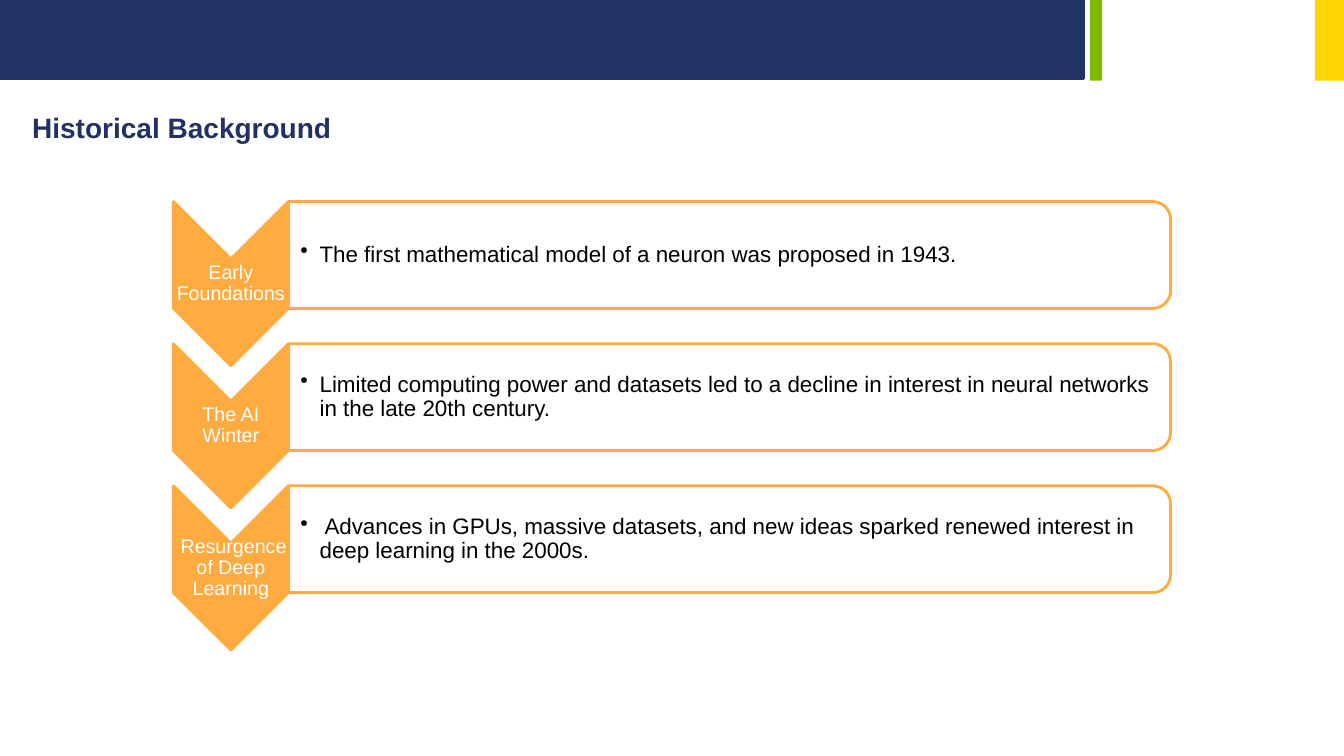
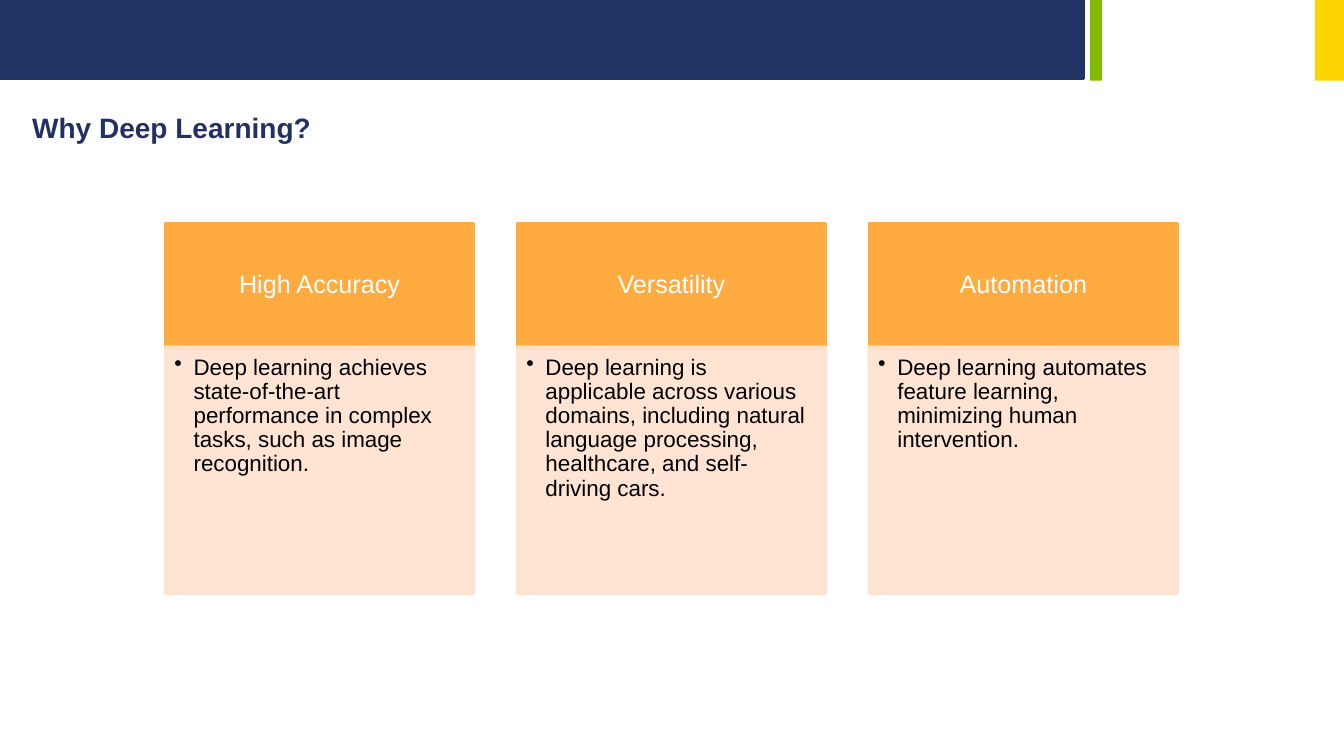
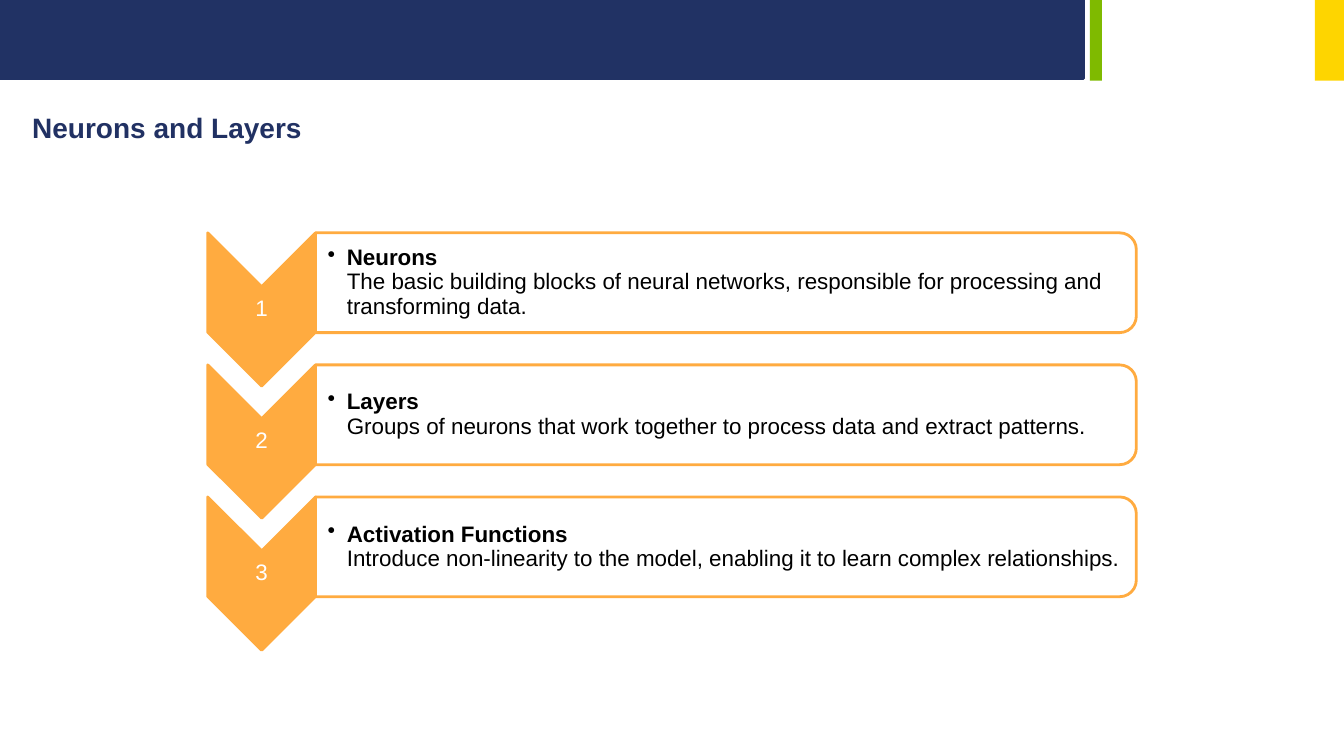
import pptx
import pptx.dml.color
import pptx.enum.shapes
import pptx.enum.text
import pptx.oxml
import pptx.oxml.ns
import pptx.util

Inches = pptx.util.Inches
Pt = pptx.util.Pt
RGBColor = pptx.dml.color.RGBColor
Shape = pptx.enum.shapes.MSO_SHAPE
Align = pptx.enum.text.PP_ALIGN
Anchor = pptx.enum.text.MSO_ANCHOR

NAVY = RGBColor(0x21, 0x32, 0x64)
TITLE_NAVY = RGBColor(0x21, 0x31, 0x63)
GREEN = RGBColor(0x7F, 0xBA, 0x00)
YELLOW = RGBColor(0xFE, 0xD5, 0x00)
ORANGE = RGBColor(0xFF, 0xAB, 0x40)
PEACH = RGBColor(0xFF, 0xE2, 0xCF)
WHITE = RGBColor(0xFF, 0xFF, 0xFF)
BLACK = RGBColor(0x00, 0x00, 0x00)
FONT = "Arial"


def draw(page, kind, left, top, width, height, fill, line=None, turned=False, opacity=100):
    if turned:
        left, top = left + (width - height) / 2, top + (height - width) / 2
        width, height = height, width
    shape = page.shapes.add_shape(kind, Inches(left), Inches(top), Inches(width), Inches(height))
    shape.shadow.inherit = False
    shape.rotation = 90 if turned else 0
    shape.fill.solid()
    shape.fill.fore_color.rgb = fill
    if line is None:
        shape.line.fill.background()
    else:
        shape.line.color.rgb = line
        shape.line.width = Pt(2)
    if opacity < 100:
        route = ".//a:srgbClr" if fill == line else "./a:solidFill/a:srgbClr"
        for colour in shape._element.spPr.xpath(route):
            alpha = pptx.oxml.parse_xml(f'<a:alpha {pptx.oxml.ns.nsdecls("a")} val="{opacity * 1000}"/>')
            colour.append(alpha)
    return shape


def write(box, lines, size, colour, margins, anchor=Anchor.MIDDLE, align=Align.LEFT, spacing=0.9, bullet=False):
    frame = box.text_frame
    frame.word_wrap = True
    frame.vertical_anchor = anchor
    frame.margin_left, frame.margin_top, frame.margin_right, frame.margin_bottom = map(Inches, margins)
    para = frame.paragraphs[0]
    if bullet:
        props = para._p.get_or_add_pPr()
        props.set("marL", str(Inches(0.19)))
        props.set("indent", str(Inches(-0.19)))
        namespace = pptx.oxml.ns.nsdecls("a")
        props.append(pptx.oxml.parse_xml(f'<a:buClr {namespace}><a:srgbClr val="{BLACK}"/></a:buClr>'))
        props.append(pptx.oxml.parse_xml(f'<a:buChar {namespace} char="•"/>'))
    para.alignment = align
    para.line_spacing = spacing
    for index, (text, bold) in enumerate(lines):
        if index:
            para.add_line_break()
        span = para.add_run()
        span.text = text
        span.font.name = FONT
        span.font.size = Pt(size)
        span.font.bold = bold
        span.font.color.rgb = colour


deck = pptx.Presentation()
deck.slide_width = Inches(13.33)
deck.slide_height = Inches(7.5)

pages = []
for title in ["Historical Background", "Why Deep Learning?", "Neurons and Layers"]:
    page = deck.slides.add_slide(deck.slide_layouts[6])
    draw(page, Shape.RECTANGLE, 0, 0, 10.75, 0.78, NAVY, NAVY)
    draw(page, Shape.RECTANGLE, 10.81, 0, 0.12, 0.8, GREEN)
    draw(page, Shape.RECTANGLE, 13.04, 0, 0.29, 0.8, YELLOW)
    box = page.shapes.add_textbox(Inches(0.22), Inches(1.05), Inches(4.38), Inches(0.44))
    write(box, [(title, True)], 20, TITLE_NAVY, (0.1, 0.05, 0.1, 0.05), Anchor.TOP, spacing=1.0)
    pages.append(page)
history_page, reasons_page, neurons_page = pages

history = [
    ("Early Foundations", [("The first mathematical model of a neuron was proposed in 1943.", False)]),
    ("The AI Winter", [("Limited computing power and datasets led to a decline in interest in neural networks in the late 20th century.", False)]),
    (" Resurgence of Deep Learning", [(" Advances in GPUs, massive datasets, and new ideas sparked renewed interest in deep learning in the 2000s.", False)]),
]
neurons = [
    ("1", [("Neurons", True), ("The basic building blocks of neural networks, responsible for processing and transforming data.", False)]),
    ("2", [("Layers", True), ("Groups of neurons that work together to process data and extract patterns.", False)]),
    ("3", [("Activation Functions", True), ("Introduce non-linearity to the model, enabling it to learn complex relationships.", False)]),
]
flows = [
    (history_page, history, 14, 1.72, 2.0, 1.41, 1.14, 1.63, 8.75, 1.06),
    (neurons_page, neurons, 16, 2.06, 2.31, 1.31, 1.07, 1.52, 8.14, 0.99),
]
for page, steps, label_size, left, first_top, pitch, arrow_width, arrow_height, panel_width, panel_height in flows:
    panel_left = left + arrow_width
    for row, (label, lines) in enumerate(steps):
        top = first_top + row * pitch
        draw(page, Shape.CHEVRON, left, top, arrow_width, arrow_height, ORANGE, ORANGE, turned=True)
        box = page.shapes.add_textbox(
            Inches(left), Inches(top + arrow_width / 2), Inches(arrow_width), Inches(arrow_height - arrow_width))
        write(box, [(label, False)], label_size, WHITE, (0.01,) * 4, align=Align.CENTER)
        draw(page, Shape.ROUND_2_SAME_RECTANGLE, panel_left, top, panel_width, panel_height,
             WHITE, ORANGE, turned=True, opacity=90)
        box = page.shapes.add_textbox(
            Inches(panel_left), Inches(top + 0.05), Inches(panel_width - 0.05), Inches(panel_height - 0.1))
        write(box, lines, 16, BLACK, (0.12, 0.01, 0.01, 0.01), bullet=True)

reasons = [
    ("High Accuracy", "Deep learning achieves state-of-the-art performance in complex tasks, such as image recognition."),
    ("Versatility", "Deep learning is applicable across various domains, including natural language processing, healthcare, and self-driving cars."),
    ("Automation", "Deep learning automates feature learning, minimizing human intervention."),
]
for column, (heading, reason) in enumerate(reasons):
    left = 1.64 + column * 3.49
    header = draw(reasons_page, Shape.RECTANGLE, left, 2.22, 3.06, 1.23, ORANGE, ORANGE)
    write(header, [(heading, False)], 18, WHITE, (0.14, 0.08, 0.14, 0.08), align=Align.CENTER)
    body = draw(reasons_page, Shape.RECTANGLE, left, 3.44, 3.06, 2.45, PEACH, PEACH, opacity=90)
    write(body, [(reason, False)], 16, BLACK, (0.09, 0.09, 0.12, 0.14), Anchor.TOP, bullet=True)

deck.save("out.pptx")
